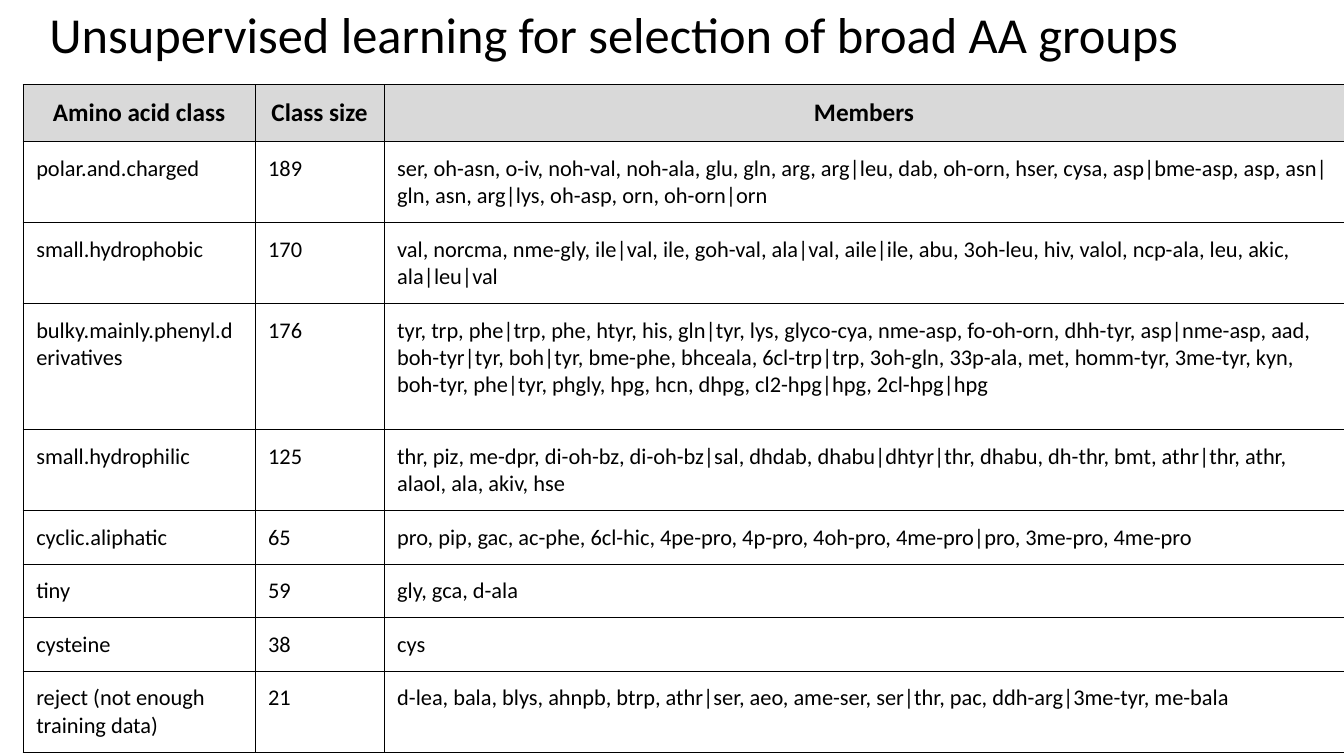
from lxml import etree
from pptx import Presentation
from pptx import util as u
from pptx.dml.color import RGBColor
from pptx.enum import text
from pptx.oxml.ns import qn

# Content
TITLE = "Unsupervised learning for selection of broad AA groups"
HEADER = ("Amino acid class", "Class size", "Members")
CLASSES = [
    ("polar.and.charged", 189,
     "ser, oh-asn, o-iv, noh-val, noh-ala, glu, gln, arg, arg|leu, dab, oh-orn, hser, cysa, "
     "asp|bme-asp, asp, asn|gln, asn, arg|lys, oh-asp, orn, oh-orn|orn"),
    ("small.hydrophobic", 170,
     "val, norcma, nme-gly, ile|val, ile, goh-val, ala|val, aile|ile, abu, 3oh-leu, hiv, "
     "valol, ncp-ala, leu, akic, ala|leu|val"),
    ("bulky.mainly.phenyl.derivatives", 176,
     "tyr, trp, phe|trp, phe, htyr, his, gln|tyr, lys, glyco-cya, nme-asp, fo-oh-orn, dhh-tyr, "
     "asp|nme-asp, aad, boh-tyr|tyr, boh|tyr, bme-phe, bhceala, 6cl-trp|trp, 3oh-gln, 33p-ala, "
     "met, homm-tyr, 3me-tyr, kyn, boh-tyr, phe|tyr, phgly, hpg, hcn, dhpg, cl2-hpg|hpg, "
     "2cl-hpg|hpg"),
    ("small.hydrophilic", 125,
     "thr, piz, me-dpr, di-oh-bz, di-oh-bz|sal, dhdab, dhabu|dhtyr|thr, dhabu, dh-thr, bmt, "
     "athr|thr, athr, alaol, ala, akiv, hse"),
    ("cyclic.aliphatic", 65,
     "pro, pip, gac, ac-phe, 6cl-hic, 4pe-pro, 4p-pro, 4oh-pro, 4me-pro|pro, 3me-pro, 4me-pro"),
    ("tiny", 59, "gly, gca, d-ala"),
    ("cysteine", 38, "cys"),
    ("reject (not enough training data)", 21,
     "d-lea, bala, blys, ahnpb, btrp, athr|ser, aeo, ame-ser, ser|thr, pac, "
     "ddh-arg|3me-tyr, me-bala"),
]

# Layout in inches
TABLE_LEFT, TABLE_TOP = 0.23, 0.84
COLUMN_WIDTHS = (2.3, 1.28, 9.52)
ONE_LINE, TWO_LINES, FOUR_LINES = 0.53, 0.8, 1.25
ROW_HEIGHTS = (0.56, TWO_LINES, TWO_LINES, FOUR_LINES, TWO_LINES,
               ONE_LINE, ONE_LINE, ONE_LINE, TWO_LINES)
BLACK, WHITE, GREY = "000000", "FFFFFF", "D9D9D9"


def set_font(paragraph, size, bold=False):
    font = paragraph.font
    font.name, font.size, font.bold = "Calibri", u.Pt(size), bold
    font.color.rgb = RGBColor.from_string(BLACK)


def set_borders(cell, color=BLACK, width=0.75):
    properties = cell._tc.get_or_add_tcPr()
    for side in ("lnL", "lnR", "lnT", "lnB"):
        line = etree.SubElement(properties, qn("a:" + side), w=str(u.Pt(width)))
        fill = etree.SubElement(line, qn("a:solidFill"))
        etree.SubElement(fill, qn("a:srgbClr"), val=color)


def fill_cell(cell, value, is_header):
    set_borders(cell)
    cell.fill.solid()
    cell.fill.fore_color.rgb = RGBColor.from_string(GREY if is_header else WHITE)
    cell.margin_left = cell.margin_right = u.Inches(0.13)
    cell.margin_top = cell.margin_bottom = u.Inches(0.13)
    cell.text = str(value)
    paragraph = cell.text_frame.paragraphs[0]
    paragraph.alignment = text.PP_ALIGN.CENTER if is_header else text.PP_ALIGN.LEFT
    set_font(paragraph, 18 if is_header else 16, is_header)


presentation = Presentation()
presentation.slide_width, presentation.slide_height = u.Inches(13.33), u.Inches(7.5)
slide = presentation.slides.add_slide(presentation.slide_layouts[5])

# Title
title = slide.shapes.title
title.left, title.top = u.Inches(0.39), 0
title.width, title.height = u.Inches(12.42), u.Inches(TABLE_TOP)
frame = title.text_frame
frame.text = TITLE
frame.word_wrap = True
frame.auto_size = text.MSO_AUTO_SIZE.NONE
frame.vertical_anchor = text.MSO_ANCHOR.TOP
frame.margin_left = frame.margin_right = u.Inches(0.1)
frame.margin_top = frame.margin_bottom = u.Inches(0.1)
heading = frame.paragraphs[0]
heading.alignment = text.PP_ALIGN.LEFT
heading.line_spacing = 0.9
set_font(heading, 36)

# Table of amino acid classes
rows = [HEADER, *CLASSES]
table = slide.shapes.add_table(
    len(rows), len(HEADER), u.Inches(TABLE_LEFT), u.Inches(TABLE_TOP),
    u.Inches(sum(COLUMN_WIDTHS)), u.Inches(sum(ROW_HEIGHTS))).table
table.first_row = table.horz_banding = False
for column, width in zip(table.columns, COLUMN_WIDTHS):
    column.width = u.Inches(width)
for r, (values, height) in enumerate(zip(rows, ROW_HEIGHTS)):
    table.rows[r].height = u.Inches(height)
    for c, value in enumerate(values):
        fill_cell(table.cell(r, c), value, is_header=r == 0)

presentation.save("out.pptx")
